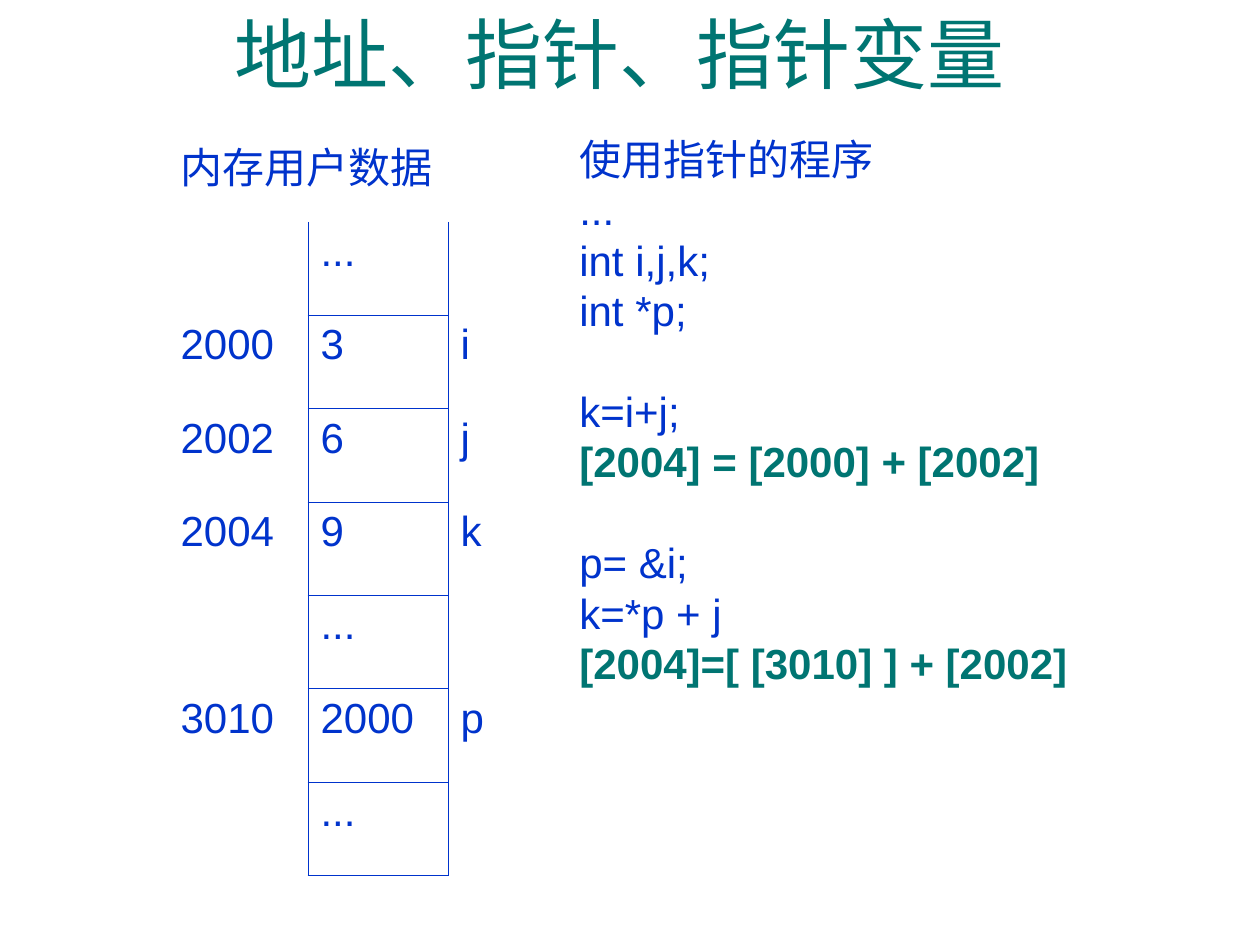
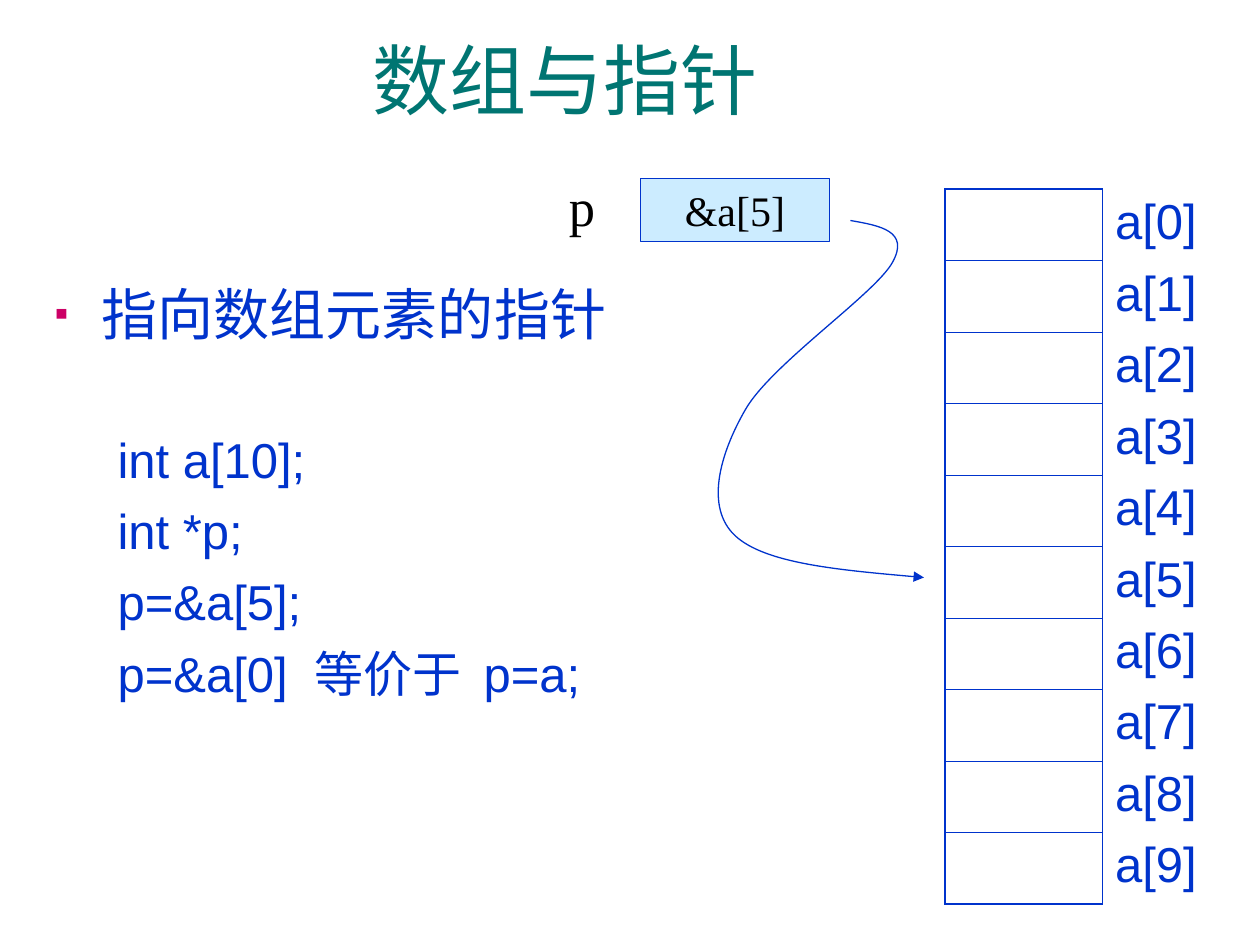
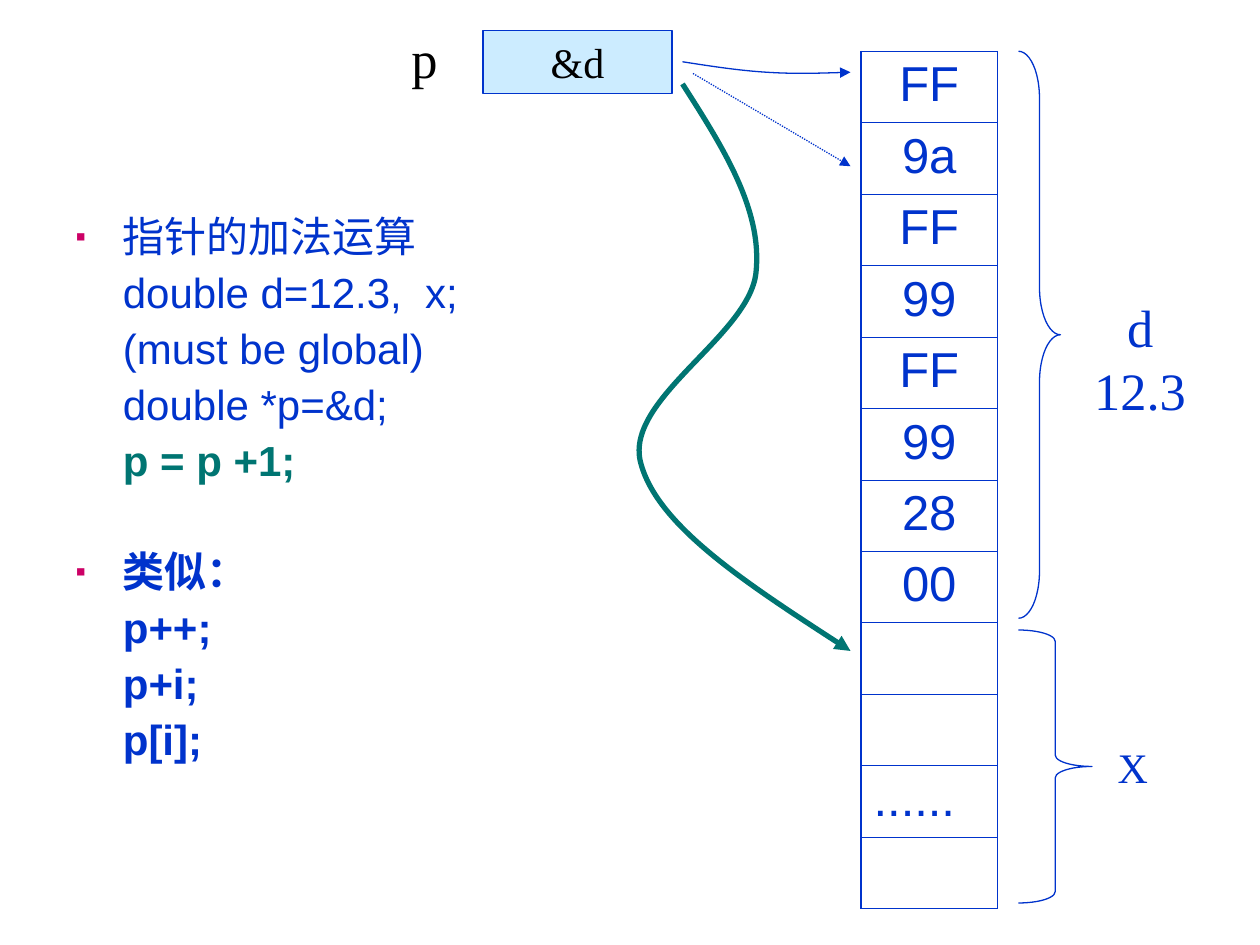
from pptx import Presentation
from pptx.dml.color import RGBColor
from pptx.enum.dml import MSO_LINE
from pptx.enum.shapes import MSO_CONNECTOR, MSO_SHAPE
from pptx.enum.text import MSO_ANCHOR, MSO_AUTO_SIZE, PP_ALIGN
from pptx.oxml.ns import qn
from pptx.oxml.xmlchemy import OxmlElement
from pptx.util import Pt

CENTER, LEFT = PP_ALIGN.CENTER, PP_ALIGN.LEFT
TOP, MIDDLE = MSO_ANCHOR.TOP, MSO_ANCHOR.MIDDLE
FIXED = MSO_AUTO_SIZE.NONE
RECTANGLE, BRACE = MSO_SHAPE.RECTANGLE, MSO_SHAPE.RIGHT_BRACE
STRAIGHT, DOTTED = MSO_CONNECTOR.STRAIGHT, MSO_LINE.ROUND_DOT

BLUE, TEAL, PINK, SKY, BLACK = "0033CC", "007572", "CC0066", "CCECFF", "000000"
SANS, SERIF = "Arial", "Times New Roman"
THIN, THICK = 0.45, 1.08
TITLE_AND_BODY, TITLE_ONLY = 1, 5
PLAIN_TABLE = "{2D5ABB26-0587-4C30-8999-92F81FD0307C}"


# Shared helpers
def rgb(color):
    return RGBColor.from_string(color)


def add_child(parent, tag, **attributes):
    child = OxmlElement(tag)
    for key, value in attributes.items():
        child.set(key, str(value))
    parent.append(child)
    return child


def set_font(paragraph, size, color=BLUE, name=SANS, bold=False):
    font = paragraph.font
    font.size, font.name, font.bold = Pt(size), name, bold
    font.color.rgb = rgb(color)


def place(shape, box):
    shape.left, shape.top, shape.width, shape.height = map(Pt, box)


def paragraphs(frame, count):
    """Give the frame as many paragraphs as asked for."""
    while len(frame.paragraphs) < count:
        frame.add_paragraph()
    return frame.paragraphs


def add_title(slide, text, box):
    title = slide.shapes.title
    place(title, box)
    frame = title.text_frame
    frame.text, frame.vertical_anchor, frame.auto_size = text, MIDDLE, FIXED
    heading = frame.paragraphs[0]
    heading.alignment = CENTER
    set_font(heading, 44, TEAL)


def set_indent(paragraph, margin, bulleted):
    properties = paragraph._p.get_or_add_pPr()
    properties.set("marL", str(Pt(margin)))
    properties.set("indent", str(Pt(-margin if bulleted else 0)))
    if bulleted:
        add_child(add_child(properties, "a:buClr"), "a:srgbClr", val=PINK)
        add_child(properties, "a:buSzPct", val=70000)
        add_child(properties, "a:buFont", typeface=SANS)
        add_child(properties, "a:buChar", char="▪")
    else:
        add_child(properties, "a:buNone")


def add_body(slide, box, lines, line_spacing=1.0):
    """Fill the body; a line is (text, bulleted, size, margin, gap, colour, bold)."""
    body = slide.placeholders[1]
    place(body, box)
    frame = body.text_frame
    frame.vertical_anchor, frame.auto_size = TOP, FIXED
    for paragraph, line in zip(paragraphs(frame, len(lines)), lines):
        text, bulleted, size, margin, gap, color, bold = line
        paragraph.text = text
        set_indent(paragraph, margin, bulleted)
        paragraph.space_before = Pt(gap)
        paragraph.line_spacing = line_spacing
        set_font(paragraph, size, color, bold=bold)


def add_label(slide, box, lines, size, color=BLUE, align=LEFT):
    label = slide.shapes.add_textbox(*map(Pt, box))
    frame = label.text_frame
    frame.word_wrap = False
    for paragraph, text in zip(paragraphs(frame, len(lines)), lines):
        paragraph.text, paragraph.alignment = text, align
        set_font(paragraph, size, color, SERIF)


# Memory tables
def add_memory(slide, box, rows, size, align=LEFT):
    left, top, width, height = box
    table = slide.shapes.add_table(len(rows), len(rows[0]), *map(Pt, box)).table
    table._tbl.tblPr.find(qn("a:tableStyleId")).text = PLAIN_TABLE
    table.first_row = table.horz_banding = False
    for row, values in zip(table.rows, rows):
        row.height = Pt(height / len(rows))
        for cell, value in zip(row.cells, values):
            cell.text = value
            cell.fill.background()
            paragraph = cell.text_frame.paragraphs[0]
            paragraph.alignment = align
            set_font(paragraph, size)
    return table


def frame_column(table, column, first, left, top, right, bottom):
    """Rule off one column from its first boxed row down."""
    last = len(table.rows) - 1
    for index in range(first, last + 1):
        edges = {"a:lnL": left, "a:lnR": right,
                 "a:lnT": top if index == first else THIN,
                 "a:lnB": bottom if index == last else THIN}
        properties = table.cell(index, column)._tc.get_or_add_tcPr()
        drawn = [(tag, width) for tag, width in edges.items() if width]
        for position, (tag, width) in enumerate(drawn):
            edge = add_child(properties, tag, w=Pt(width))
            add_child(add_child(edge, "a:solidFill"), "a:srgbClr", val=BLUE)
            properties.insert(position, edge)


# Pointers, arrows and braces
def style_line(shape, color=BLUE, width=0.75, dash=None, arrow=False):
    shape.line.color.rgb, shape.line.width = rgb(color), Pt(width)
    if dash:
        shape.line.dash_style = dash
    if arrow:
        outline = next(shape._element.iter(qn("a:ln")))
        add_child(outline, "a:tailEnd", type="triangle")


def add_pointer(slide, left, top, value):
    """Draw the variable p and the box holding its value."""
    add_label(slide, (left, top, 29.5, 43.2), ["p"], 30, BLACK)
    holder = slide.shapes.add_shape(
        RECTANGLE, Pt(left + 48), Pt(top + 6), Pt(108), Pt(36))
    holder.shadow.inherit = False
    holder.fill.solid()
    holder.fill.fore_color.rgb = rgb(SKY)
    style_line(holder)
    frame = holder.text_frame
    frame.text, frame.vertical_anchor, frame.word_wrap = value, MIDDLE, False
    frame.paragraphs[0].alignment = CENTER
    set_font(frame.paragraphs[0], 24, BLACK, SERIF)


def add_curve(slide, left, top, points, color=BLUE, width=0.75):
    """Draw a Bézier arrow from (left, top); each three points make one arc."""
    builder = slide.shapes.build_freeform(Pt(left), Pt(top))
    builder.add_line_segments(
        [(Pt(left + x), Pt(top + y)) for x, y in points], close=False)
    curve = builder.convert_to_shape()
    curve.shadow.inherit = False
    curve.fill.background()
    style_line(curve, color, width, arrow=True)
    outline = next(curve._element.iter(qn("a:path")))
    steps = outline.findall(qn("a:lnTo"))
    for first in range(0, len(steps), 3):
        arc = add_child(outline, "a:cubicBezTo")
        for step in steps[first:first + 3]:
            arc.append(step[0])
            outline.remove(step)


def add_dotted_arrow(slide, start, end):
    arrow = slide.shapes.add_connector(STRAIGHT, *map(Pt, start + end))
    style_line(arrow, dash=DOTTED, arrow=True)
    add_child(arrow._element.spPr, "a:effectLst")


def add_brace(slide, box, bend):
    brace = slide.shapes.add_shape(BRACE, *map(Pt, box))
    brace.shadow.inherit = False
    brace.fill.background()
    brace.adjustments[0] = bend
    style_line(brace)


# Slides
def build_addresses(prs):
    slide = prs.slides.add_slide(prs.slide_layouts[TITLE_ONLY])
    add_title(slide, "地址、指针、指针变量", (102, 0, 504, 60))

    rows = [("内存用户数据", "", ""), ("", "...", ""), ("2000", "3", "i"),
            ("2002", "6", "j"), ("2004", "9", "k"), ("", "...", ""),
            ("3010", "2000", "p"), ("", "...", "")]
    memory = add_memory(slide, (96, 73.5, 240, 427), rows, 24)
    memory.cell(0, 0).merge(memory.cell(0, 2))
    frame_column(memory, 1, 1, THIN, None, THIN, THICK)

    program = [("使用指针的程序", 0), ("...", 0), ("int i,j,k;", 0), ("int *p;", 0),
               ("k=i+j;", 28.8), ("[2004] = [2000] + [2002]", 0),
               ("p= &i;", 28.8), ("k=*p + j", 0), ("[2004]=[ [3010] ] + [2002]", 0)]
    listing = slide.shapes.add_textbox(Pt(324), Pt(72.7), Pt(396), Pt(324)).text_frame
    listing.word_wrap = True
    for paragraph, (code, gap) in zip(paragraphs(listing, len(program)), program):
        effect = code.startswith("[")
        paragraph.text, paragraph.space_before = code, Pt(gap)
        set_font(paragraph, 24, TEAL if effect else BLUE, bold=effect)


def build_array(prs):
    slide = prs.slides.add_slide(prs.slide_layouts[TITLE_AND_BODY])
    add_title(slide, "数组与指针", (98, 0, 450, 90))

    code = [("int a[10];", 47.6), ("int *p;", 7), ("p=&a[5];", 7),
            ("p=&a[0]  等价于  p=a;", 7)]
    add_body(slide, (24, 156, 672, 306),
             [("指向数组元素的指针", True, 32, 27, 0, BLUE, False)]
             + [(text, False, 28, 36, gap, BLUE, False) for text, gap in code])

    elements = add_memory(slide, (540, 108, 180, 408.5),
                          [("", f"a[{index}]") for index in range(10)], 28)
    frame_column(elements, 0, 0, THICK, THICK, THIN, THICK)
    for column, width in zip(elements.columns, (90, 90)):
        column.width = Pt(width)

    add_pointer(slide, 318, 96, "&a[5]")
    add_curve(slide, 486, 126, [
        (17, 3), (34, 6), (24, 24), (14, 42), (-45, 82), (-60, 108),
        (-75, 134), (-83, 164), (-66, 180), (-49, 196), (-3.5, 200), (42, 204)])


def build_arithmetic(prs):
    slide = prs.slides.add_slide(prs.slide_layouts[TITLE_AND_BODY])
    title = slide.shapes.title._element
    title.getparent().remove(title)

    lines = [("指针的加法运算", True, 0, BLUE, False),
             ("double d=12.3,  x;", False, 6, BLUE, False),
             ("(must be global)", False, 6, BLUE, False),
             ("double *p=&d;", False, 6, BLUE, False),
             ("p = p +1;", False, 6, TEAL, True),
             ("类似：", True, 37.9, BLUE, True)]
    lines += [(text, False, 6, BLUE, True) for text in ("p++;", "p+i;", "p[i];")]
    add_body(slide, (36, 120, 294, 324),
             [(text, bulleted, 24, 27, *rest) for text, bulleted, *rest in lines], 0.9)

    values = ["FF", "9a", "FF", "99", "FF", "99", "28", "00", "", "", "......", ""]
    memory = add_memory(slide, (492, 29.3, 78, 490), [(value,) for value in values],
                        28, CENTER)
    memory.cell(10, 0).text_frame.paragraphs[0].alignment = LEFT
    frame_column(memory, 0, 0, THICK, THIN, THICK, THICK)

    # Extent of d and x in memory
    add_brace(slide, (582, 29.3, 24, 324), 1.125)
    add_label(slide, (618, 165, 67, 79.2), ["d", "12.3"], 30, align=CENTER)
    add_brace(slide, (582, 360, 42, 156), 0.155)
    add_label(slide, (631.5, 420, 31.5, 36), ["X"], 24)

    # Where p points before and after the addition
    add_pointer(slide, 228, 11.3, "&d")
    add_curve(slide, 390, 35.3, [(16, 2.5), (32, 5), (48, 6), (64, 7), (80, 6.5), (96, 6)])
    add_dotted_arrow(slide, (396, 42), (486, 95))
    add_curve(slide, 390, 48, [
        (23, 36), (46, 72), (42, 108), (38, 144), (-33, 180), (-24, 216),
        (-15, 252), (40.5, 288), (96, 324)], TEAL, 3)


def main():
    prs = Presentation()
    prs.slide_width, prs.slide_height = Pt(720), Pt(540)
    build_addresses(prs)
    build_array(prs)
    build_arithmetic(prs)
    prs.save("out.pptx")


if __name__ == "__main__":
    main()
